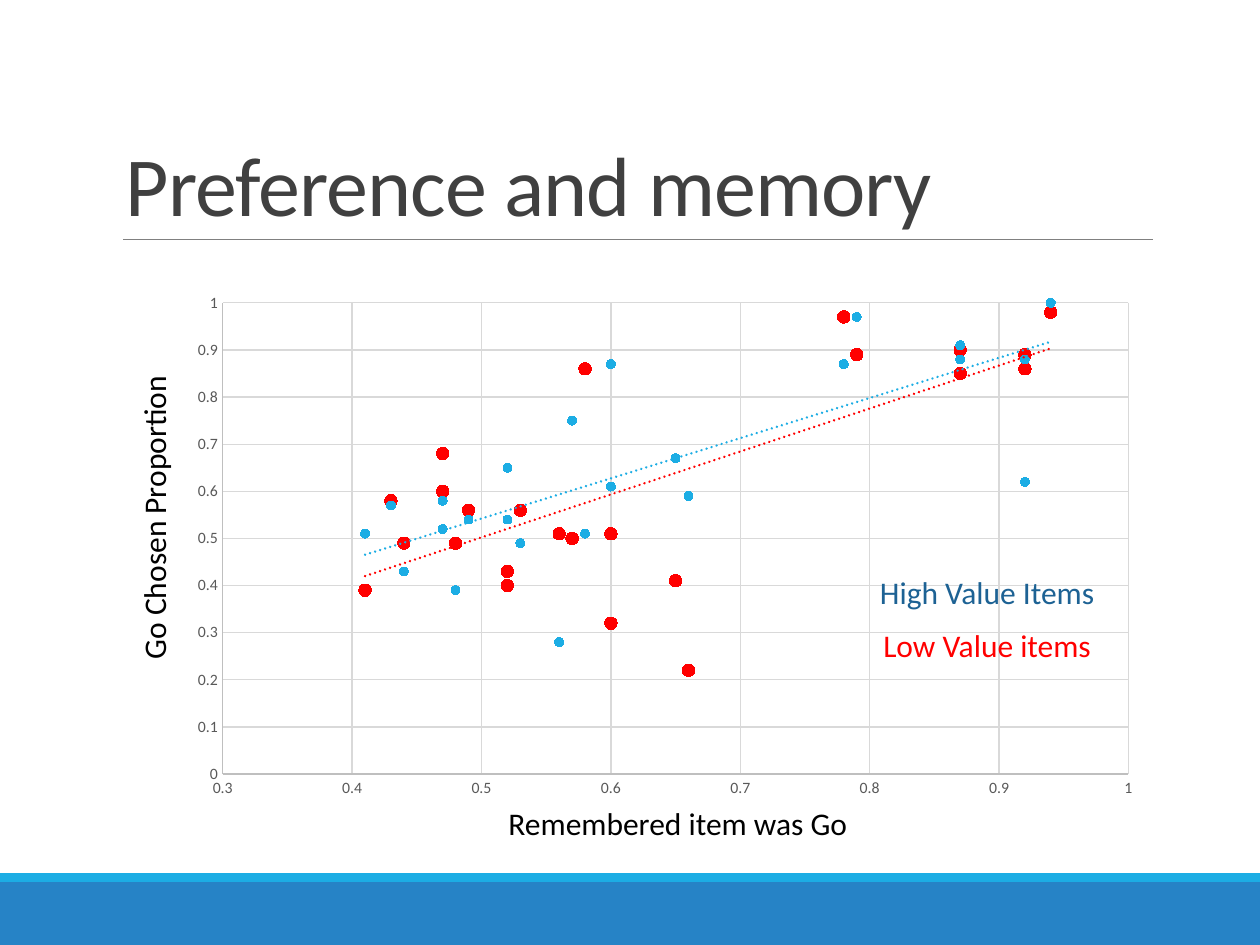
from lxml import etree
from pptx import Presentation
from pptx.chart.data import XyChartData
from pptx.dml.color import RGBColor
from pptx.enum.chart import XL_CHART_TYPE as ChartType, XL_MARKER_STYLE as Marker
from pptx.enum.chart import XL_TICK_MARK as TickMark
from pptx.enum.shapes import MSO_CONNECTOR as Connector, MSO_SHAPE as Shape
from pptx.enum.text import MSO_ANCHOR as Anchor, PP_ALIGN as Align
from pptx.oxml import parse_xml
from pptx.oxml.ns import nsdecls, qn
from pptx.util import Inches, Pt

WIDTH, HEIGHT = Inches(10), Inches(7.5)
FONT = "Calibri"
CYAN, BLUE, DARK_BLUE, RED = "1CADE4", "2683C6", "1D6294", "FF0000"
LABEL = {"size": Pt(18), "name": FONT}

REMEMBERED = [0.94, 0.92, 0.92, 0.87, 0.87, 0.79, 0.78, 0.66, 0.65, 0.6, 0.6, 0.58,
              0.57, 0.56, 0.53, 0.52, 0.52, 0.49, 0.48, 0.47, 0.47, 0.44, 0.43, 0.41]
HIGH_VALUE = [1, 0.88, 0.62, 0.91, 0.88, 0.97, 0.87, 0.59, 0.67, 0.61, 0.87, 0.51,
              0.75, 0.28, 0.49, 0.65, 0.54, 0.54, 0.39, 0.52, 0.58, 0.43, 0.57, 0.51]
LOW_VALUE = [0.98, 0.89, 0.86, 0.85, 0.9, 0.89, 0.97, 0.22, 0.41, 0.51, 0.32, 0.86,
             0.5, 0.51, 0.56, 0.4, 0.43, 0.56, 0.49, 0.68, 0.6, 0.49, 0.58, 0.39]
# Name, values, colour, marker size
SERIES = [("Series 1", HIGH_VALUE, CYAN, 5), ("Series 2", LOW_VALUE, RED, 7)]


def box(left, top, width, height):
    """Turn percentages of the slide's size into lengths."""
    return (int(WIDTH * left / 100), int(HEIGHT * top / 100),
            int(WIDTH * width / 100), int(HEIGHT * height / 100))


def paint(color_format, color):
    color_format.rgb = RGBColor.from_string(color)


def apply(target, values):
    for name, value in values.items():
        setattr(target, name, value)


def fill(target, color):
    target.fill.solid()
    paint(target.fill.fore_color, color)


def style_line(line, color, width):
    paint(line.color, color)
    line.width = Pt(width)


def add_bar(slide, place, color):
    bar = slide.shapes.add_shape(Shape.RECTANGLE, *box(*place))
    bar.shadow.inherit = False
    fill(bar, color)
    bar.line.fill.background()


def add_rule(slide, left, right, top):
    x, y, width, _ = box(left, top, right - left, 0)
    rule = slide.shapes.add_connector(Connector.STRAIGHT, x, y, x + width, y)
    style_line(rule.line, "808080", 0.5)
    etree.SubElement(rule.element.spPr, qn("a:effectLst"))


def add_text(slide, place, text, color, font=LABEL, alignment=Align.CENTER,
             anchor=Anchor.TOP, rotation=0):
    shape = slide.shapes.add_textbox(*box(*place))
    shape.rotation = rotation
    apply(shape.text_frame, {"word_wrap": True, "vertical_anchor": anchor})
    paragraph = shape.text_frame.paragraphs[0]
    paragraph.alignment = alignment
    run = paragraph.add_run()
    run.text = text
    apply(run.font, font)
    paint(run.font.color, color)
    return paragraph


def add_trend_line(series, color):
    trend = parse_xml(
        f'<c:trendline {nsdecls("c", "a")}><c:spPr><a:ln w="{Pt(1.5)}" cap="rnd">'
        f'<a:solidFill><a:srgbClr val="{color}"/></a:solidFill>'
        '<a:prstDash val="sysDot"/></a:ln></c:spPr><c:trendlineType val="linear"/>'
        '<c:dispRSqr val="0"/><c:dispEq val="0"/></c:trendline>')
    series._element.find(qn("c:xVal")).addprevious(trend)


def style_series(series, color, size):
    series.format.line.fill.background()
    apply(series.marker, {"style": Marker.CIRCLE, "size": size})
    fill(series.marker.format, color)
    style_line(series.marker.format.line, color, 0.75)
    add_trend_line(series, color)


def style_axis(axis, minimum):
    apply(axis, {"minimum_scale": minimum, "maximum_scale": 1, "major_unit": 0.1,
                 "major_tick_mark": TickMark.NONE, "minor_tick_mark": TickMark.NONE,
                 "has_major_gridlines": True, "has_title": False})
    style_line(axis.format.line, "BFBFBF", 0.75)
    style_line(axis.major_gridlines.format.line, "D9D9D9", 0.75)
    apply(axis.tick_labels, {"number_format": "General",
                             "number_format_is_linked": False})
    apply(axis.tick_labels.font, {"size": Pt(9), "name": FONT})
    paint(axis.tick_labels.font.color, "595959")


def set_plot_layout(chart, **shares):
    plot_area = chart._chartSpace.chart.plotArea
    for layout in plot_area.findall(qn("c:layout")):
        plot_area.remove(layout)
    modes = '<c:xMode val="edge"/><c:yMode val="edge"/>'
    sizes = "".join(f'<c:{name} val="{share}"/>' for name, share in shares.items())
    plot_area.insert(0, parse_xml(
        f'<c:layout {nsdecls("c")}><c:manualLayout><c:layoutTarget val="inner"/>'
        f'{modes}{sizes}</c:manualLayout></c:layout>'))


def add_scatter(slide, place):
    data = XyChartData()
    for name, values, _, _ in SERIES:
        points = data.add_series(name)
        for x, y in zip(REMEMBERED, values):
            points.add_data_point(x, y)
    chart = slide.shapes.add_chart(ChartType.XY_SCATTER, *box(*place), data).chart
    apply(chart, {"has_legend": False, "has_title": False})
    apply(chart.font, {"size": Pt(10), "name": FONT})
    paint(chart.font.color, "000000")
    chart.plots[0].vary_by_categories = False
    for series, (_, _, color, size) in zip(chart.plots[0].series, SERIES):
        style_series(series, color, size)
    style_axis(chart.category_axis, 0.3)
    style_axis(chart.value_axis, 0)
    set_plot_layout(chart, x=0.045, y=0.037, w=0.93, h=0.897)


def main():
    presentation = Presentation()
    apply(presentation, {"slide_width": WIDTH, "slide_height": HEIGHT})
    slide = presentation.slides.add_slide(presentation.slide_layouts[6])

    # Footer bars and title rule
    add_bar(slide, (0, 93.33, 100, 6.67), BLUE)
    add_bar(slide, (0, 92.4, 100, 0.93), CYAN)
    add_rule(slide, 9.8, 91.5, 25.33)

    # Title
    title = add_text(slide, (9, 4.13, 82.5, 21.2), "Preference and memory", "404040",
                     {"size": Pt(48), "name": FONT}, Align.LEFT, Anchor.BOTTOM)
    title.line_spacing = 0.85
    title.runs[0].font._element.set("spc", "-50")

    # Chart with its axis titles
    add_scatter(slide, (14.2, 30, 77.3, 55.6))
    add_text(slide, (29.2, 84.4, 49.2, 5.33), "Remembered item was Go", "000000")
    add_text(slide, (-12.4, 52.13, 49.2, 5.33), "Go Chosen Proportion", "000000",
             rotation=270)

    # Key
    key = [("High Value Items", DARK_BLUE), ("Low Value items", RED)]
    for row, (text, color) in enumerate(key):
        add_text(slide, (66.7, 60 + 5.6 * row, 23.3, 5.33), text, color)

    presentation.save("out.pptx")


if __name__ == "__main__":
    main()
